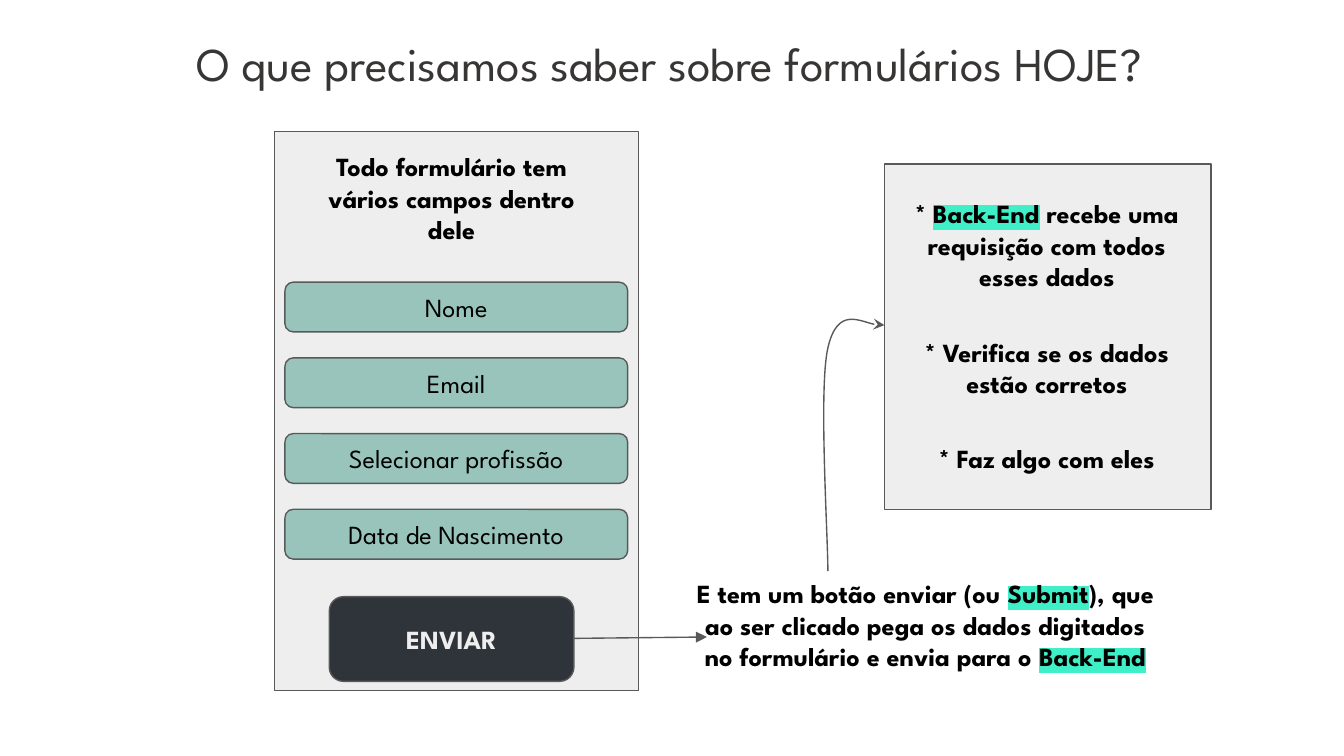
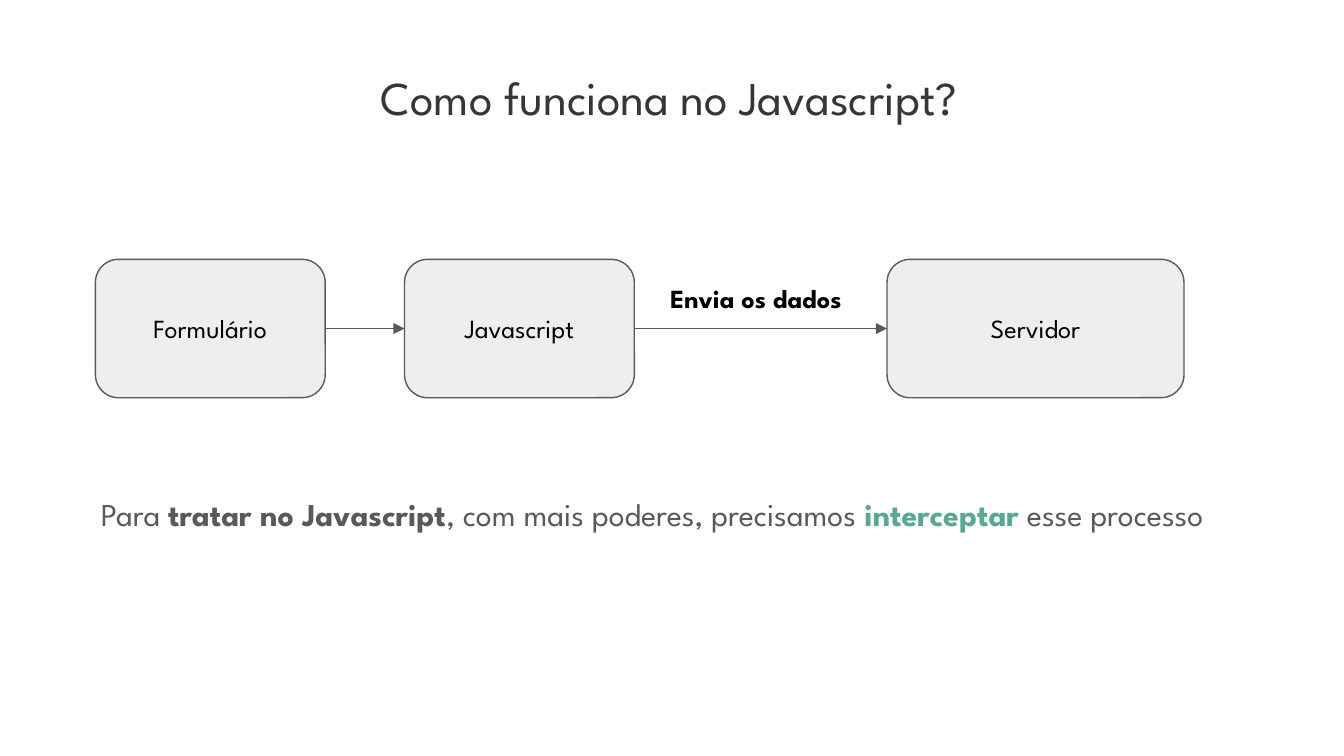
from typing import NamedTuple, Optional

from lxml.etree import SubElement
from pptx import Presentation
from pptx.dml.color import RGBColor
from pptx.enum.shapes import MSO_CONNECTOR as Connector, MSO_SHAPE as Preset
from pptx.enum.text import MSO_ANCHOR as Anchor, MSO_AUTO_SIZE as AutoSize, PP_ALIGN as Align
from pptx.oxml.ns import qn
from pptx.util import Inches, Pt

FONT = "League Spartan"
BLACK = RGBColor(0x00, 0x00, 0x00)
TITLE_GRAY = RGBColor(0x38, 0x35, 0x35)
GRAY = RGBColor(0x59, 0x59, 0x59)
PALE = RGBColor(0xEE, 0xEE, 0xEE)
FIELD_GREEN = RGBColor(0x99, 0xC4, 0xBB)
BUTTON_DARK = RGBColor(0x2E, 0x34, 0x39)
ACCENT_GREEN = RGBColor(0x5A, 0xA8, 0x92)
MARKER = RGBColor(0x3F, 0xEF, 0xC7)

SLIDE_WIDTH = Inches(10)
SLIDE_HEIGHT = SLIDE_WIDTH * 9 // 16
LAYOUT_BODY, LAYOUT_TITLE = 1, 5


class Area(NamedTuple):
    left: float
    top: float
    width: float
    height: float

    def lengths(self):
        return [Inches(value) for value in self]


class Span(NamedTuple):
    text: str
    bold: bool = False
    color: RGBColor = BLACK
    size: float = 14
    highlight: Optional[RGBColor] = None


class Panel(NamedTuple):
    area: Area
    fill: RGBColor = PALE
    preset: Preset = Preset.ROUNDED_RECTANGLE
    label: Optional[Span] = None


class Note(NamedTuple):
    area: Area
    spans: list
    align: Align = Align.CENTER


def bold(text: str, highlight: Optional[RGBColor] = None) -> Span:
    return Span(text, True, highlight=highlight)


def write(frame, spans: list, align: Align, anchor: Anchor = Anchor.TOP):
    """Fill the frame's first paragraph with the spans and return it."""
    settings = {"word_wrap": True, "vertical_anchor": anchor}
    settings |= {f"margin_{side}": Inches(0.1) for side in ("left", "top", "right", "bottom")}
    for name, value in settings.items():
        setattr(frame, name, value)
    para = frame.paragraphs[0]
    para.alignment = align
    for span in spans:
        run = para.add_run()
        run.text = span.text
        run.font.color.rgb = span.color
        if span.highlight is not None:
            fill = run.font._element.find(qn("a:solidFill"))
            marker = SubElement(run.font._element, qn("a:highlight"))
            SubElement(marker, qn("a:srgbClr"), val=str(span.highlight))
            fill.addnext(marker)
        for name, value in {"name": FONT, "size": Pt(span.size), "bold": span.bold}.items():
            setattr(run.font, name, value)
    return para


def place(shape, area: Area) -> None:
    for name, value in zip(("left", "top", "width", "height"), area.lengths()):
        setattr(shape, name, value)


def add_page(deck, layout: int, title: str, top: float):
    page = deck.slides.add_slide(deck.slide_layouts[layout])
    box = page.shapes.title
    place(box, Area(0.6, top, 8.76, 0.63))
    write(box.text_frame, [Span(title, color=TITLE_GRAY, size=25.2)], Align.CENTER)
    box.text_frame.auto_size = AutoSize.NONE
    return page


def add_panel(page, panel: Panel) -> None:
    shape = page.shapes.add_shape(panel.preset, *panel.area.lengths())
    shape.shadow.inherit = False
    shape.fill.solid()
    shape.fill.fore_color.rgb = panel.fill
    outline(shape)
    if panel.label:
        write(shape.text_frame, [panel.label], Align.CENTER, Anchor.MIDDLE)


def add_note(page, note: Note) -> None:
    box = page.shapes.add_textbox(*note.area.lengths())
    write(box.text_frame, note.spans, note.align)
    box.text_frame.auto_size = AutoSize.SHAPE_TO_FIT_TEXT


def outline(shape, arrowhead: Optional[str] = None) -> None:
    shape.line.color.rgb = GRAY
    shape.line.width = Pt(0.75)
    if arrowhead:
        line = shape._element.spPr.find(qn("a:ln"))
        SubElement(line, qn("a:tailEnd"), type=arrowhead)


def add_arrow(page, start: tuple, end: tuple) -> None:
    ends = [Inches(value) for value in (*start, *end)]
    arrow = page.shapes.add_connector(Connector.STRAIGHT, *ends)
    outline(arrow, "triangle")
    SubElement(arrow._element.spPr, qn("a:effectLst"))


def add_curved_arrow(page, start: tuple, controls: list) -> None:
    """Draw a Bézier arrow; every three control points make one segment."""
    builder = page.shapes.build_freeform(*map(Inches, start), scale=1.0)
    builder.add_line_segments([tuple(map(Inches, point)) for point in controls], close=False)
    curve = builder.convert_to_shape()
    curve.shadow.inherit = False
    curve.fill.background()
    outline(curve, "stealth")
    outline_path = next(curve._element.iter(qn("a:path")))
    segments = outline_path.findall(qn("a:lnTo"))
    for first in range(0, len(segments), 3):
        bezier = SubElement(outline_path, qn("a:cubicBezTo"))
        for segment in segments[first:first + 3]:
            bezier.append(segment[0])
            outline_path.remove(segment)


def build_form_page(deck) -> None:
    page = add_page(deck, LAYOUT_TITLE, "O que precisamos saber sobre formulários HOJE?", 0.16)
    add_panel(page, Panel(Area(2.04, 0.98, 2.71, 4.16), preset=Preset.RECTANGLE))
    add_note(page, Note(Area(5.03, 4.2, 3.71, 1.14), [
        bold("E tem um botão enviar (ou "),
        bold("Submit", MARKER),
        bold("), que ao ser clicado pega os dados digitados no formulário e envia para o "),
        bold("Back-End", MARKER),
    ]))

    fields = ("Nome", "Email", "Selecionar profissão", "Data de Nascimento")
    first_top, last_top = 2.1, 3.79
    pitch = (last_top - first_top) / (len(fields) - 1)
    for row, field in enumerate(fields):
        area = Area(2.12, first_top + row * pitch, 2.55, 0.37)
        add_panel(page, Panel(area, FIELD_GREEN, label=Span(field)))
    submit = Span("ENVIAR", True, PALE)
    add_panel(page, Panel(Area(2.45, 4.44, 1.82, 0.63), BUTTON_DARK, label=submit))
    add_arrow(page, (4.27, 4.75), (5.26, 4.74))

    add_panel(page, Panel(Area(6.58, 1.22, 2.43, 2.57), preset=Preset.RECTANGLE))
    add_curved_arrow(page, (6.16, 4.25), [(6.16, 3.98), (6.09, 2.89), (6.16, 2.59),
                                          (6.23, 2.28), (6.51, 2.44), (6.58, 2.42)])
    notes = [
        Note(Area(2.27, 1.02, 2.18, 0.91),
             [bold("Todo formulário tem vários campos dentro dele")]),
        Note(Area(6.7, 1.37, 2.18, 0.91),
             [bold("* "), bold("Back-End", MARKER),
              bold(" recebe uma requisição com todos esses dados")]),
        Note(Area(6.7, 2.4, 2.18, 0.67), [bold("* Verifica se os dados estão corretos")]),
        Note(Area(6.7, 3.19, 2.18, 0.44), [bold("* Faz algo com eles")]),
    ]
    for note in notes:
        add_note(page, note)


def build_flow_page(deck) -> None:
    page = add_page(deck, LAYOUT_BODY, "Como funciona no Javascript?", 0.41)

    body = page.placeholders[1]
    place(body, Area(0.65, 3.44, 9.06, 0.63))
    para = write(body.text_frame, [
        Span("Para ", False, GRAY, 17),
        Span("tratar no Javascript", True, GRAY, 17),
        Span(", com mais poderes, precisamos ", False, GRAY, 17),
        Span("interceptar", True, ACCENT_GREEN, 17),
        Span(" esse processo", False, GRAY, 17),
    ], Align.LEFT)
    body.text_frame.auto_size = AutoSize.NONE
    properties = para._element.get_or_add_pPr()
    for name in ("marL", "indent"):
        properties.set(name, "0")
    SubElement(properties, qn("a:buNone"))
    spacing = {"line_spacing": 1.5, "space_before": Pt(0), "space_after": Pt(12)}
    for name, value in spacing.items():
        setattr(para, name, value)

    top, height = 1.93, 1.03
    middle = top + height / 2
    steps = [("Formulário", 0.71, 1.71), ("Javascript", 3.01, 1.71), ("Servidor", 6.6, 2.21)]
    for name, left, width in steps:
        add_panel(page, Panel(Area(left, top, width, height), label=Span(name)))
    for (_, left, width), (_, target, _) in zip(steps, steps[1:]):
        add_arrow(page, (left + width, middle), (target, middle))
    add_note(page, Note(Area(4.89, 2, 1.56, 0.44), [bold("Envia os dados")], Align.LEFT))


def main() -> None:
    deck = Presentation()
    deck.slide_width, deck.slide_height = SLIDE_WIDTH, SLIDE_HEIGHT
    build_form_page(deck)
    build_flow_page(deck)
    deck.save("out.pptx")


if __name__ == "__main__":
    main()
